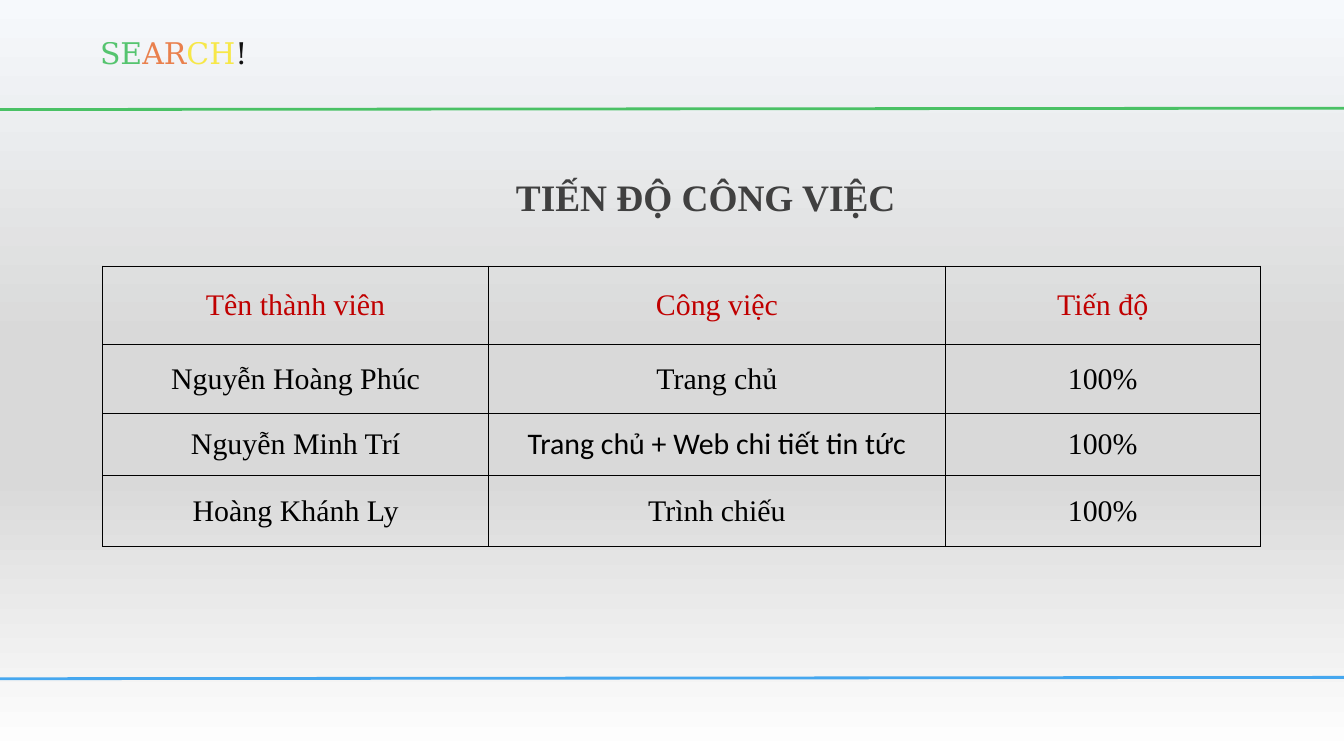
from dataclasses import dataclass
from lxml import etree
from pptx import Presentation
from pptx.dml.color import RGBColor
from pptx.enum.shapes import MSO_CONNECTOR
from pptx.enum.text import MSO_ANCHOR, MSO_AUTO_SIZE, PP_ALIGN
from pptx.oxml.ns import qn
from pptx.util import Emu, Inches, Pt

LEFT, CENTER = PP_ALIGN.LEFT, PP_ALIGN.CENTER
MIDDLE = MSO_ANCHOR.MIDDLE
GROW = MSO_AUTO_SIZE.SHAPE_TO_FIT_TEXT
STRAIGHT = MSO_CONNECTOR.STRAIGHT
WIDTH, HEIGHT = Inches(20), Inches(11.25)
TIMES, SERIF, SANS = "Times New Roman", "DejaVu Serif", "Calibri"
BLACK, RED, GRAY = "000000", "C00000", "404040"
GREEN, ORANGE, YELLOW, BLUE = "4AC165", "E97841", "F8E73B", "45A7EF"
STOPS = [(0, "F6F9FC"), (45, "D9D9D9"), (63, "D9D9D9"), (100, "FFFFFF")]
COLS = [28.7, 34, 23.4]
ROWS = [10.4, 9.07, 8.27, 9.33]
SIDES = ("a:lnL", "a:lnR", "a:lnT", "a:lnB")


@dataclass
class Run:
    text: str
    color: str = BLACK
    font: str = TIMES
    size: int = 32
    bold: bool = False
    alpha: int = 100


@dataclass
class Box:
    left: float
    top: float
    width: float
    height: float
    runs: list[Run]
    align: int = LEFT
    space: float | None = None


@dataclass
class Rule:
    start: float
    end: float
    color: str


BOXES = [
    Box(37.9, 22.58, 37.1, 6.84, [Run("TIẾN ĐỘ CÔNG VIỆC", GRAY, size=40, bold=True)]),
    Box(-11.25, 3.02, 48.35, 6.31,
        [Run(text, color, SERIF, alpha=92) for text, color in
         [("SE", GREEN), ("AR", ORANGE), ("CH", YELLOW), ("!", BLACK)]],
        CENTER, 47.6),
]
RULES = [Rule(14.49, 14.31, GREEN), Rule(89.78, 89.6, BLUE)]
CELLS = [
    [Run(text, RED) for text in ("Tên thành viên", "Công việc", "Tiến độ")],
    [Run("Nguyễn Hoàng Phúc"), Run("Trang chủ"), Run("100%")],
    [Run("Nguyễn Minh Trí"), Run("Trang chủ + Web chi tiết tin tức", font=SANS), Run("100%")],
    [Run("Hoàng Khánh Ly"), Run("Trình chiếu"), Run("100%")],
]


def across(share: float) -> Emu:
    return Emu(round(WIDTH * share / 100))


def down(share: float) -> Emu:
    return Emu(round(HEIGHT * share / 100))


def paint(fill, color: str) -> None:
    fill.solid()
    fill.fore_color.rgb = RGBColor.from_string(color)


def add_run(para, item: Run) -> None:
    run = para.add_run()
    run.text = item.text
    font = run.font
    font.name, font.size, font.bold = item.font, Pt(item.size), item.bold
    paint(font.fill, item.color)
    if item.alpha < 100:
        tint = run._r.find(".//" + qn("a:srgbClr"))
        etree.SubElement(tint, qn("a:alpha"), val=str(item.alpha * 1000))


def add_box(slide, box: Box) -> None:
    shape = slide.shapes.add_textbox(
        across(box.left), down(box.top), across(box.width), down(box.height))
    frame = shape.text_frame
    frame.word_wrap = True
    frame.auto_size = GROW
    para = frame.paragraphs[0]
    para.alignment = box.align
    if box.space:
        para.line_spacing = Pt(box.space)
    for item in box.runs:
        add_run(para, item)


def add_rule(slide, rule: Rule) -> None:
    line = slide.shapes.add_connector(
        STRAIGHT, 0, down(rule.start), WIDTH, down(rule.end))
    line.line.width = Pt(3)
    paint(line.line.fill, rule.color)
    etree.SubElement(line._element.spPr, qn("a:effectLst"))


def add_edges(cell) -> None:
    props = cell._tc.get_or_add_tcPr()
    for place, side in enumerate(SIDES):
        edge = etree.Element(qn(side), w=str(Pt(1)))
        fill = etree.SubElement(edge, qn("a:solidFill"))
        etree.SubElement(fill, qn("a:srgbClr"), val=BLACK)
        props.insert(place, edge)


def add_grid(slide) -> None:
    table = slide.shapes.add_table(
        len(ROWS), len(COLS), across(7.65), down(35.2),
        across(sum(COLS)), down(sum(ROWS))).table
    table.first_row = table.horz_banding = False
    for col, share in zip(table.columns, COLS):
        col.width = across(share)
    for row, share, items in zip(table.rows, ROWS, CELLS):
        row.height = down(share)
        for cell, item in zip(row.cells, items):
            cell.fill.background()
            cell.vertical_anchor = MIDDLE
            para = cell.text_frame.paragraphs[0]
            para.alignment = CENTER
            add_run(para, item)
            add_edges(cell)


def add_ground(slide) -> None:
    fill = slide.background.fill
    fill.gradient()
    fill.gradient_angle = 270
    stops = slide._element.find(".//" + qn("a:gsLst"))
    for stop in list(stops):
        stops.remove(stop)
    for share, color in STOPS:
        stop = etree.SubElement(stops, qn("a:gs"), pos=str(share * 1000))
        etree.SubElement(stop, qn("a:srgbClr"), val=color)


def main() -> None:
    deck = Presentation()
    deck.slide_width, deck.slide_height = WIDTH, HEIGHT
    slide = deck.slides.add_slide(deck.slide_layouts[6])
    title, label = BOXES
    add_ground(slide)
    add_grid(slide)
    add_box(slide, title)
    for rule in RULES:
        add_rule(slide, rule)
    add_box(slide, label)
    deck.save("out.pptx")


if __name__ == "__main__":
    main()
